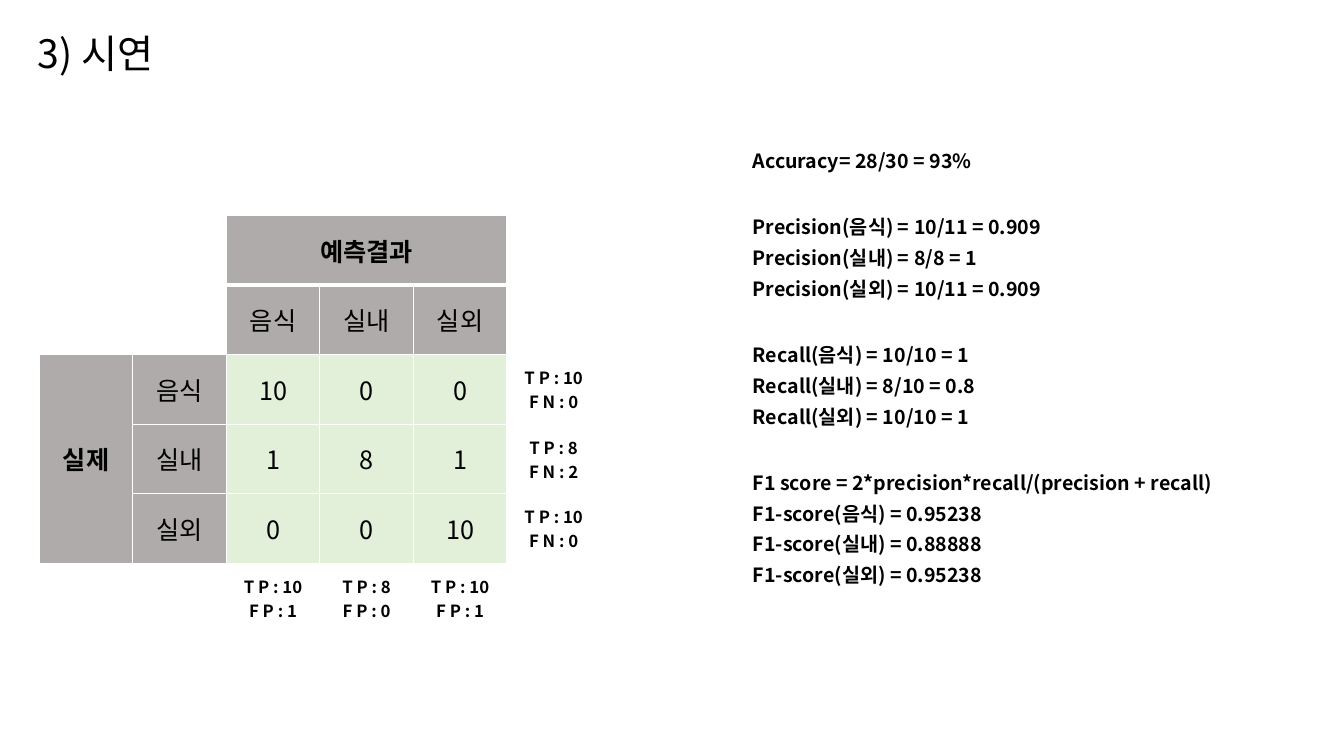
from lxml.etree import SubElement
from pptx import Presentation
from pptx.dml.color import RGBColor
from pptx.enum.text import MSO_ANCHOR as Anchor, PP_ALIGN as Align
from pptx.oxml.ns import qn
from pptx.util import Pt

FONT = "Noto Sans CJK KR"
BLACK = RGBColor(0x00, 0x00, 0x00)
WHITE = RGBColor(0xFF, 0xFF, 0xFF)
GRAY = RGBColor(0xAF, 0xAB, 0xAB)
GREEN = RGBColor(0xE2, 0xF0, 0xD9)

CLASSES = ["음식", "실내", "실외"]
COUNTS = [[10, 0, 0], [1, 8, 1], [0, 0, 10]]
METRICS = [
    ["Accuracy= 28/30 = 93%"],
    ["Precision(음식) = 10/11 = 0.909",
     "Precision(실내) = 8/8 = 1",
     "Precision(실외) = 10/11 = 0.909"],
    ["Recall(음식) = 10/10 = 1",
     "Recall(실내) = 8/10 = 0.8",
     "Recall(실외) = 10/10 = 1"],
    ["F1 score = 2*precision*recall/(precision + recall)",
     "F1-score(음식) = 0.95238",
     "F1-score(실내) = 0.88888",
     "F1-score(실외) = 0.95238"],
]


def add_run(paragraph, text, size, bold=False):
    """Add one black run in the slide's font."""
    run = paragraph.add_run()
    run.text = text
    run.font.name = FONT
    run.font.size = Pt(size)
    run.font.bold = bold
    run.font.color.rgb = BLACK
    SubElement(run.font._element, qn("a:ea"), typeface=FONT)


def add_text(slide, box, groups, size, bold=False, line_gap=0, group_gap=0):
    """Write groups of lines, with a wider gap between the groups."""
    frame = slide.shapes.add_textbox(*map(Pt, box)).text_frame
    frame.word_wrap = True
    paragraph = frame.paragraphs[0]
    for g, group in enumerate(groups):
        for i, line in enumerate(group):
            if g or i:
                paragraph = frame.add_paragraph()
                paragraph.space_before = Pt(line_gap if i else group_gap)
            paragraph.line_spacing = 0.9
            add_run(paragraph, line, size, bold)


def set_borders(cell, bottom=1):
    """Give a cell white borders, one point wide except at the bottom."""
    properties = cell._tc.get_or_add_tcPr()
    widths = {"a:lnL": 1, "a:lnR": 1, "a:lnT": 1, "a:lnB": bottom}
    for i, (side, width) in enumerate(widths.items()):
        line = SubElement(properties, qn(side), w=str(Pt(width)))
        properties.insert(i, line)
        fill = SubElement(line, qn("a:solidFill"))
        SubElement(fill, qn("a:srgbClr"), val=str(WHITE))


def fill_cell(cell, lines, size=18, bold=False, color=None):
    """Write centred lines in a cell and colour it."""
    cell.vertical_anchor = Anchor.MIDDLE
    if color is not None:
        cell.fill.solid()
        cell.fill.fore_color.rgb = color
    frame = cell.text_frame
    for i, line in enumerate(lines):
        paragraph = frame.add_paragraph() if i else frame.paragraphs[0]
        paragraph.alignment = Align.CENTER
        add_run(paragraph, line, size, bold)


def add_confusion_matrix(slide, box):
    """Draw the matrix of actual and predicted classes with its tallies."""
    left, top, width, height = box
    matrix = slide.shapes.add_table(6, 6, *map(Pt, box)).table
    matrix.first_row = matrix.horz_banding = False
    for column in matrix.columns:
        column.width = Pt(width / 6)
    for r, row in enumerate(matrix.rows):
        row.height = Pt(height / 6)
        for cell in row.cells:
            cell.fill.background()
            set_borders(cell, bottom=1 if r else 3)

    matrix.cell(0, 2).merge(matrix.cell(0, 4))
    matrix.cell(2, 0).merge(matrix.cell(4, 0))
    fill_cell(matrix.cell(0, 2), ["예측결과"], bold=True, color=GRAY)
    fill_cell(matrix.cell(2, 0), ["실제"], bold=True, color=GRAY)

    for i, (name, counts) in enumerate(zip(CLASSES, COUNTS)):
        fill_cell(matrix.cell(1, i + 2), [name], color=GRAY)
        fill_cell(matrix.cell(i + 2, 1), [name], color=GRAY)
        for j, count in enumerate(counts):
            fill_cell(matrix.cell(i + 2, j + 2), [str(count)], color=GREEN)
        hits = counts[i]
        missed = sum(counts) - hits
        wrong = sum(row[i] for row in COUNTS) - hits
        fill_cell(matrix.cell(i + 2, 5), [f"T P : {hits}", f"F N : {missed}"], 12, True)
        fill_cell(matrix.cell(5, i + 2), [f"T P : {hits}", f"F P : {wrong}"], 12, True)


def main():
    """Build the slide and save it."""
    deck = Presentation()
    deck.slide_width, deck.slide_height = Pt(960), Pt(540)
    slide = deck.slides.add_slide(deck.slide_layouts[6])
    add_text(slide, (20, 21, 720, 40), [["3) 시연"]], 28)
    add_text(slide, (530.6, 105, 469, 49), METRICS, 14, True, 6.9, 32)
    add_confusion_matrix(slide, (28, 154, 401, 298))
    deck.save("out.pptx")


if __name__ == "__main__":
    main()
